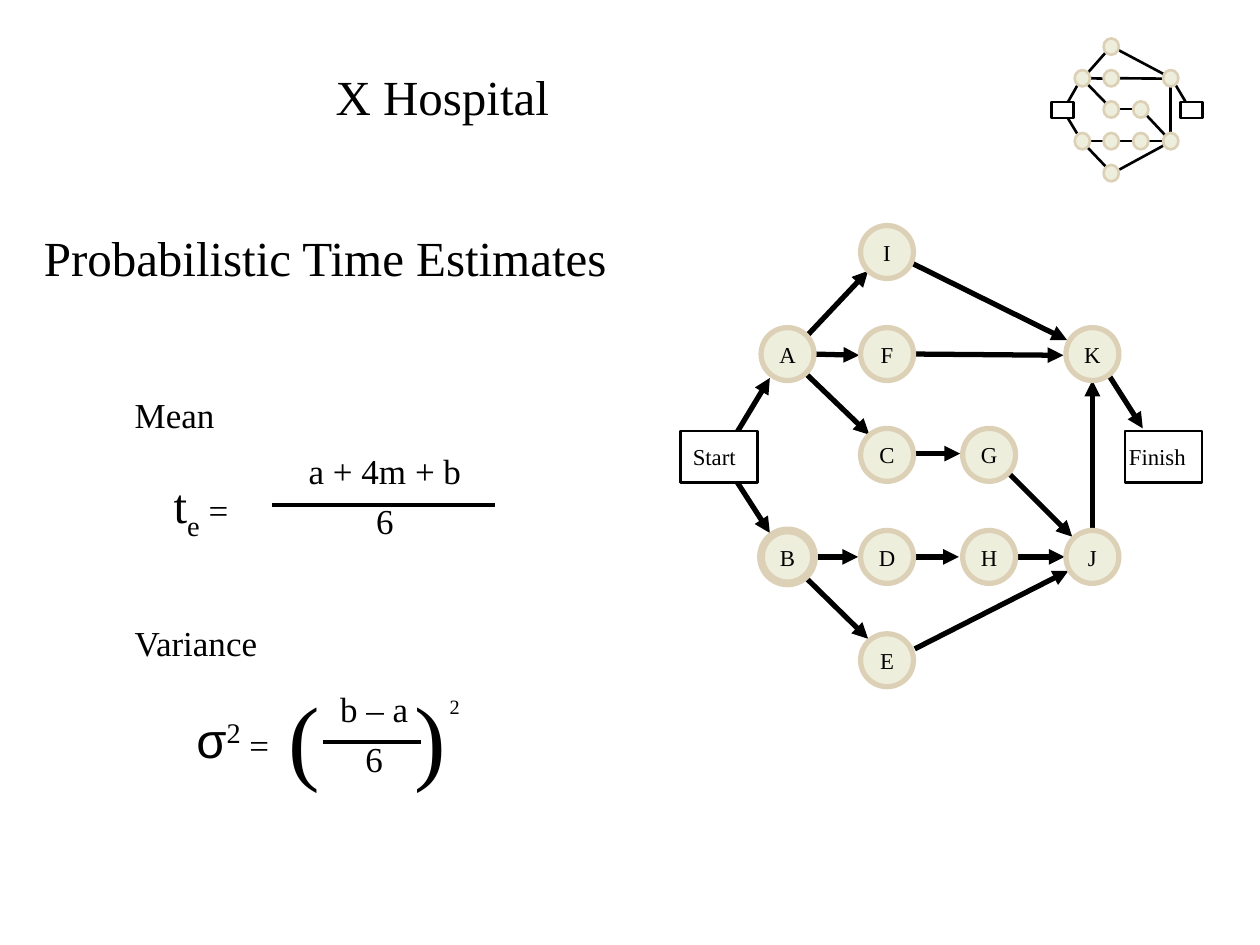
from lxml import etree
from pptx import Presentation
from pptx import util as u
from pptx.dml.color import RGBColor
from pptx.enum import shapes, text
from pptx.oxml.ns import qn

COLORS = {"ink": "000000", "paper": "FFFFFF", "node": "EEEEDC", "ring": "DCD1B6"}
RGB = {name: RGBColor.from_string(value) for name, value in COLORS.items()}
FONT = "Times New Roman"


def add_line(parent, start, end, width, arrow=False):
    line = parent.shapes.add_connector(
        shapes.MSO_CONNECTOR.STRAIGHT, *map(u.Inches, start + end))
    line.line.color.rgb = RGB["ink"]
    line.line.width = u.Pt(width)
    if arrow:
        outline = line.line._get_or_add_ln()
        etree.SubElement(outline, qn("a:tailEnd"), type="triangle")
    etree.SubElement(line._element.spPr, qn("a:effectLst"))


def add_text(box, paragraphs, align=text.PP_ALIGN.LEFT, spacing=None):
    """Each paragraph lists runs of (text, size, font, baseline in percent)."""
    frame = slide.shapes.add_textbox(*map(u.Inches, box)).text_frame
    frame.word_wrap = False
    for index, runs in enumerate(paragraphs):
        paragraph = frame.add_paragraph() if index else frame.paragraphs[0]
        paragraph.alignment = align
        paragraph.line_spacing = spacing
        for words, size, font, baseline in runs:
            run = paragraph.add_run()
            run.text = words
            run.font.size = u.Pt(size)
            run.font.name = font
            run.font.color.rgb = RGB["ink"]
            if baseline:
                run._r.get_or_add_rPr().set("baseline", str(baseline * 1000))


presentation = Presentation()
presentation.slide_width = u.Inches(10)
presentation.slide_height = u.Inches(7.5)
slide = presentation.slides.add_slide(presentation.slide_layouts[5])

# Title
title = slide.shapes.title
title.left, title.top, title.width, title.height = map(u.Inches, (0.21, 0.43, 6.6, 0.66))
title.text_frame.text = "X Hospital"
title.text_frame.vertical_anchor = text.MSO_ANCHOR.MIDDLE
heading = title.text_frame.paragraphs[0]
heading.alignment = text.PP_ALIGN.CENTER
heading.font.size = u.Pt(28)
heading.font.name = FONT
heading.font.color.rgb = RGB["ink"]

# Headings
for words, size, box in [
    ("Probabilistic Time Estimates", 28, (0.25, 1.76, 5, 0.57)),
    ("Mean", 20, (0.97, 3.07, 1.05, 0.5)),
    ("Variance", 20, (0.97, 4.88, 1.59, 0.5)),
]:
    add_text(box, [[(words, size, FONT, 0)]])

# Network data: node centres on a grid, arrows between their edges
COLUMNS = [6.25, 7.04, 7.85, 8.67]
ROWS = [2.0, 2.81, 3.61, 4.42, 5.24]
DIAMETER = 0.42
NODES = {
    "E": (1, 4), "J": (3, 3), "H": (2, 3), "D": (1, 3), "B": (0, 3), "C": (1, 2),
    "G": (2, 2), "F": (1, 1), "A": (0, 1), "I": (1, 0), "K": (3, 1),
}
ARROWS = [
    ((8.67, 4.23), (8.67, 3.02)),  # J to K
    ((8.77, 2.93), (9.07, 3.4)),   # K to Finish
    ((7.98, 3.73), (8.51, 4.26)),  # G to J
    ((8.05, 4.42), (8.45, 4.42)),  # H to J
    ((7.26, 5.15), (8.48, 4.53)),  # E to J
    ((7.24, 4.42), (7.61, 4.42)),  # D to H
    ((7.25, 3.6), (7.62, 3.6)),    # C to G
    ((5.84, 3.81), (6.11, 4.23)),  # Start to B
    ((5.85, 3.43), (6.11, 3.0)),   # Start to A
    ((6.4, 2.67), (6.89, 2.15)),   # A to I
    ((6.45, 2.81), (6.82, 2.82)),  # A to F
    ((6.44, 4.42), (6.81, 4.42)),  # B to D
    ((6.38, 4.57), (6.89, 5.07)),  # B to E
    ((6.4, 2.97), (6.9, 3.45)),    # A to C
    ((7.22, 2.08), (8.47, 2.7)),   # I to K
    ((7.26, 2.81), (8.44, 2.82)),  # F to K
]
TERMINALS = {"Start": (5.4, 0.1), "Finish": (8.93, 0.03)}  # left edge, text inset

# Full network with labels, then the small plain one in the corner
left, top = COLUMNS[0], ROWS[0]
for origin_x, origin_y, scale_x, scale_y, width, full in [
    (left, top, 1, 1, 3, True),
    (8.59, 0.37, 0.29, 0.31, 1.5, False),
]:
    network = slide.shapes.add_group_shape()
    for arrow in ARROWS:
        start, end = [(origin_x + (x - left) * scale_x, origin_y + (y - top) * scale_y)
                      for x, y in arrow]
        add_line(network, start, end, width, arrow=full)

    # Name, preset, left, top, width, height, fill, line, line width, text inset
    parts = [(name, shapes.MSO_SHAPE.OVAL, COLUMNS[column] - DIAMETER / 2,
              ROWS[row] - DIAMETER / 2, DIAMETER, DIAMETER, "node", "ring",
              4.5 if full and name == "B" else width, None)
             for name, (column, row) in NODES.items()]
    parts += [(name, shapes.MSO_SHAPE.RECTANGLE, x, 3.42, 0.61, 0.41, "paper", "ink", 1.5, inset)
              for name, (x, inset) in TERMINALS.items()]
    for name, preset, x, y, w, h, fill, line, line_width, inset in parts:
        shape = network.shapes.add_shape(preset, *map(u.Inches, (
            origin_x + (x - left) * scale_x, origin_y + (y - top) * scale_y,
            w * scale_x, h * scale_y)))
        shape.shadow.inherit = False
        shape.fill.solid()
        shape.fill.fore_color.rgb = RGB[fill]
        shape.line.color.rgb = RGB[line]
        shape.line.width = u.Pt(line_width)
        if full:
            frame = shape.text_frame
            frame.text = name
            frame.word_wrap = inset is not None
            frame.vertical_anchor = text.MSO_ANCHOR.MIDDLE
            frame.margin_left = u.Inches(inset or 0)
            frame.margin_right = frame.margin_top = frame.margin_bottom = 0
            label = frame.paragraphs[0]
            label.alignment = text.PP_ALIGN.CENTER if inset is None else text.PP_ALIGN.LEFT
            label.font.size = u.Pt(13)
            label.font.name = FONT
            label.font.color.rgb = RGB["ink"]

# Left-hand sides of the formulas
add_text((1.28, 3.72, 0.76, 0.56),
         [[("t", 28, FONT, 0), ("e", 28, FONT, -25), (" =", 20, FONT, 0)]])
add_text((1.46, 5.58, 0.87, 0.56),
         [[("σ", 28, "Arial", 0), ("2", 28, FONT, 30), (" =", 20, FONT, 0)]])

# Fractions with their bars
for numerator, box, bar_left, bar_right, bar_y in [
    ("a + 4m + b", (2.14, 3.45, 1.83, 1.06), 2.16, 3.93, 4.01),
    ("b – a", (2.49, 5.34, 0.96, 1.06), 2.56, 3.34, 5.89),
]:
    add_text(box, [[(words, 20, FONT, 0)] for words in (numerator, "6")],
             text.PP_ALIGN.CENTER, 1.2)
    add_line(slide, (bar_left, bar_y), (bar_right, bar_y), 2)

# Brackets and exponent of the variance
for bracket, x in (("(", 2.19), (")", 3.19)):
    add_text((x, 5.34, 0.45, 1), [[(bracket, 54, FONT, 0)]])
add_text((3.47, 5.43, 0.32, 0.36), [[("2", 20, FONT, 30)]])

presentation.save("out.pptx")
